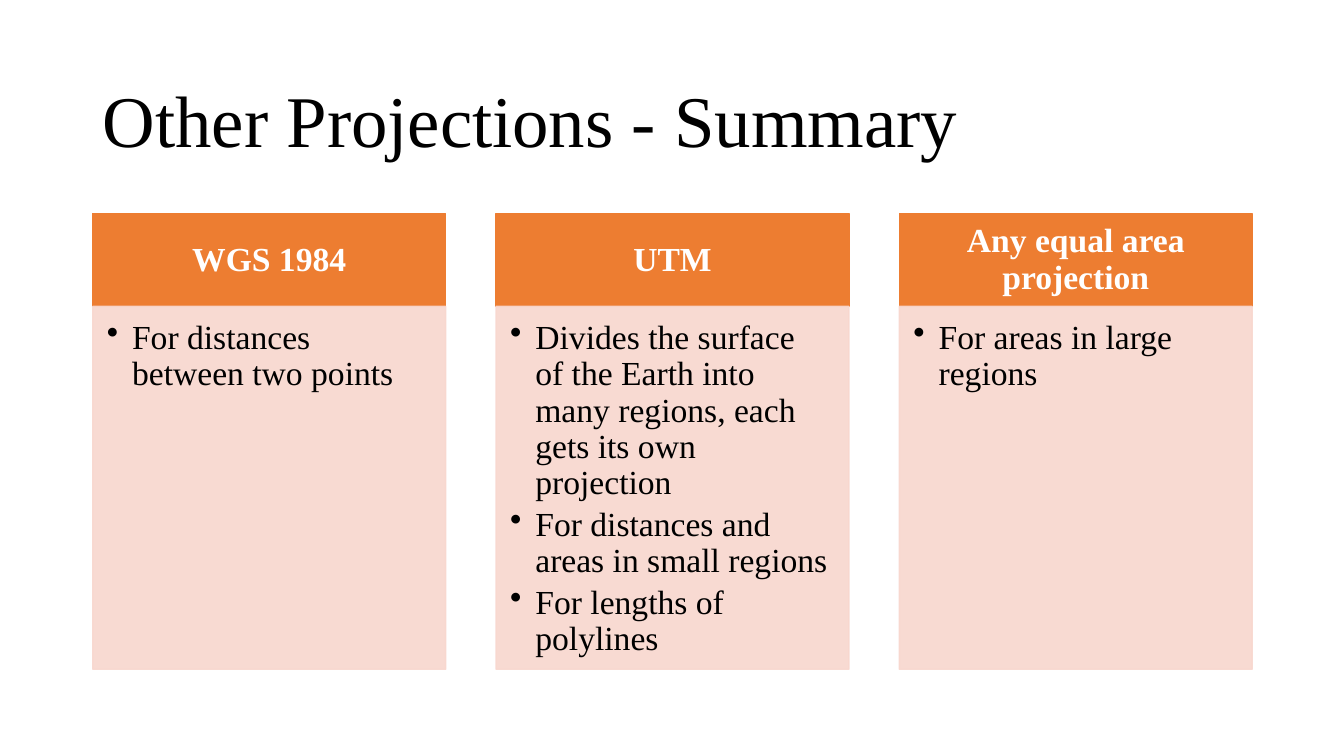
from dataclasses import dataclass

from lxml.etree import SubElement
from pptx import Presentation
from pptx.dml.color import RGBColor
from pptx.enum.shapes import MSO_SHAPE
from pptx.enum.text import MSO_ANCHOR, MSO_AUTO_SIZE, PP_ALIGN
from pptx.oxml.ns import qn
from pptx.shapes.autoshape import Shape
from pptx.slide import Slide
from pptx.text.text import TextFrame
from pptx.util import Inches, Pt

COLOURS = {"page": "FFFFFF", "text": "000000", "header": "ED7D31",
           "header_text": "FFFFFF", "body": "F8D7CE"}
FONT = "Times New Roman"

# Grid of three equal columns, in inches
LEFT, WIDTH, GAP = 0.92, 11.5, 0.5
COLUMN_WIDTH = (WIDTH - 2 * GAP) / 3
HEADER_TOP, HEADER_HEIGHT, BODY_HEIGHT = 2.12, 0.92, 3.6


@dataclass
class Projection:
    name: str
    uses: list[str]


@dataclass
class PanelStyle:
    fill: str
    text: str
    bold: bool
    bullets: bool
    opacity: int
    space_after: float
    frame: dict[str, object]


PROJECTIONS = [
    Projection("WGS 1984", ["For distances between two points"]),
    Projection("UTM", [
        "Divides the surface of the Earth into many regions, each gets its own projection",
        "For distances and areas in small regions",
        "For lengths of polylines"]),
    Projection("Any equal area projection", ["For areas in large regions"]),
]

HEADER = PanelStyle("header", "header_text", True, False, 100, 0, {
    "vertical_anchor": MSO_ANCHOR.MIDDLE,
    "margin_left": Inches(0.19), "margin_right": Inches(0.19),
    "margin_top": Inches(0.11), "margin_bottom": Inches(0.11)})
BODY = PanelStyle("body", "text", False, True, 90, 4, {
    "vertical_anchor": MSO_ANCHOR.TOP,
    "margin_left": Inches(0.14), "margin_right": Inches(0.19),
    "margin_top": Inches(0.14), "margin_bottom": Inches(0.21)})


def colour(name: str) -> RGBColor:
    return RGBColor.from_string(COLOURS[name])


def apply(target: object, values: dict[str, object]) -> None:
    for name, value in values.items():
        setattr(target, name, value)


def write(frame: TextFrame, lines: list[str], size: float, text_colour: str,
          bold: bool, alignment: PP_ALIGN, space_after: float = 0) -> None:
    for index, line in enumerate(lines):
        para = frame.paragraphs[0] if index == 0 else frame.add_paragraph()
        apply(para, {"alignment": alignment, "line_spacing": 0.9,
                     "space_before": Pt(0), "space_after": Pt(space_after)})
        span = para.add_run()
        span.text = line
        apply(span.font, {"name": FONT, "size": Pt(size), "bold": bold})
        span.font.color.rgb = colour(text_colour)


def add_bullets(frame: TextFrame) -> None:
    for para in frame.paragraphs:
        para.level = 1
        properties = para._p.get_or_add_pPr()
        properties.set("marL", str(Inches(0.25)))
        properties.set("indent", str(-Inches(0.25)))
        SubElement(properties, qn("a:buChar"), char="•")


def set_opacity(box: Shape, percent: int) -> None:
    for tint in box._element.spPr.iter(qn("a:srgbClr")):
        SubElement(tint, qn("a:alpha"), val=str(percent * 1000))


def add_panel(page: Slide, left: float, top: float, height: float,
              lines: list[str], style: PanelStyle) -> None:
    box = page.shapes.add_shape(MSO_SHAPE.RECTANGLE, Inches(left), Inches(top),
                                Inches(COLUMN_WIDTH), Inches(height))
    box.shadow.inherit = False
    box.fill.solid()
    box.fill.fore_color.rgb = colour(style.fill)
    box.line.color.rgb = colour(style.fill)
    box.line.width = Pt(1)
    if style.opacity < 100:
        set_opacity(box, style.opacity)
    frame = box.text_frame
    apply(frame, {"word_wrap": True, **style.frame})
    alignment = PP_ALIGN.LEFT if style.bullets else PP_ALIGN.CENTER
    write(frame, lines, 24, style.text, style.bold, alignment, style.space_after)
    if style.bullets:
        add_bullets(frame)


def main() -> None:
    deck = Presentation()
    apply(deck, {"slide_width": Inches(13.33), "slide_height": Inches(7.5)})
    page = deck.slides.add_slide(deck.slide_layouts[5])
    page.background.fill.solid()
    page.background.fill.fore_color.rgb = colour("page")

    # Title
    title = page.shapes.title
    apply(title, {"left": Inches(LEFT), "top": Inches(0.61),
                  "width": Inches(WIDTH), "height": Inches(1.24)})
    apply(title.text_frame, {"word_wrap": True, "auto_size": MSO_AUTO_SIZE.NONE,
                             "vertical_anchor": MSO_ANCHOR.MIDDLE})
    write(title.text_frame, ["Other Projections - Summary"], 52, "text", False,
          PP_ALIGN.LEFT)

    # One column for each projection
    for index, projection in enumerate(PROJECTIONS):
        left = LEFT + index * (COLUMN_WIDTH + GAP)
        add_panel(page, left, HEADER_TOP, HEADER_HEIGHT, [projection.name], HEADER)
        add_panel(page, left, HEADER_TOP + HEADER_HEIGHT, BODY_HEIGHT,
                  projection.uses, BODY)

    deck.save("out.pptx")


if __name__ == "__main__":
    main()
